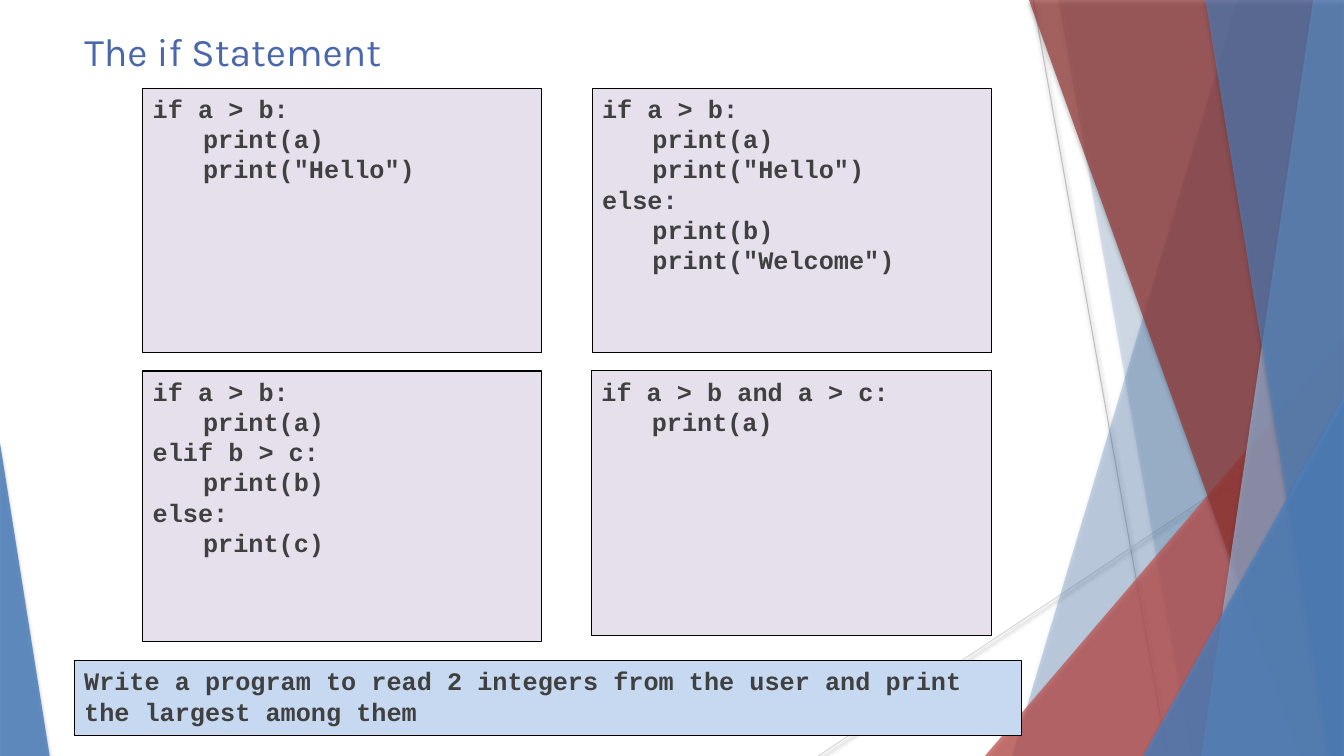
from collections import namedtuple
from lxml.etree import SubElement
from pptx import Presentation
from pptx.dml.color import RGBColor
from pptx.enum.shapes import MSO_CONNECTOR, MSO_SHAPE
from pptx.enum.text import MSO_ANCHOR, PP_ALIGN
from pptx.oxml.ns import qn
from pptx.util import Pt

Box = namedtuple("Box", "left top width height")

COLORS = {
    "title": "4A66AC",
    "code": "404040",
    "panel": "E6E0EC",
    "task": "C6D9F1",
    "border": "000000",
    "blue": "4F81BD",
    "pale_blue": "95B3D7",
    "red": "C0504D",
    "dark_red": "953735",
    "ray": "BFBFBF",
    "pale_ray": "D9D9D9",
}

SNIPPETS = [
    (Box(102, 63, 285, 189), ["if a > b:", "\tprint(a)", '\tprint("Hello")']),
    (Box(423, 63, 285, 189), ["if a > b:", "\tprint(a)", '\tprint("Hello")',
                              "else:", "\tprint(b)", '\tprint("Welcome")']),
    (Box(102, 265, 285, 193), ["if a > b:", "\tprint(a)", "elif b > c:",
                               "\tprint(b)", "else:", "\tprint(c)"]),
    (Box(422.5, 265, 285.5, 189), ["if a > b and a > c:", "\tprint(a)"]),
]
TASK = "Write a program to read 2 integers from the user and print the largest among them"


def rgb(name):
    return RGBColor.from_string(COLORS[name])


def add_shadow(parent, blur, distance, opacity):
    effects = SubElement(parent, qn("a:effectLst"))
    shadow = SubElement(effects, qn("a:outerShdw"), blurRad=str(Pt(blur)),
                        dist=str(Pt(distance)), dir="5400000", rotWithShape="0")
    black = SubElement(shadow, qn("a:srgbClr"), val="000000")
    SubElement(black, qn("a:alpha"), val=str(opacity * 1000))
    return effects


def write_text(frame, lines, size, font, color, bold=False,
               anchor=MSO_ANCHOR.TOP, shadow=False):
    frame.word_wrap = True
    frame.vertical_anchor = anchor
    frame.margin_left = frame.margin_right = Pt(7.2)
    frame.margin_top = frame.margin_bottom = Pt(3.6)
    for index, line in enumerate(lines):
        para = frame.add_paragraph() if index else frame.paragraphs[0]
        para.alignment = PP_ALIGN.LEFT
        span = para.add_run()
        span.text = line
        span.font.size = Pt(size)
        span.font.bold = bold
        span.font.color.rgb = rgb(color)
        if shadow:
            properties = span.font.fill._xPr
            add_shadow(properties, 3, 2, 35)
        span.font.name = font


def add_panel(page, box, lines, fill):
    panel = page.shapes.add_shape(MSO_SHAPE.RECTANGLE, *map(Pt, box))
    panel.shadow.inherit = False
    panel.fill.solid()
    panel.fill.fore_color.rgb = rgb(fill)
    panel.line.color.rgb = rgb("border")
    panel.line.width = Pt(0.75)
    write_text(panel.text_frame, lines, 18, "Courier New", "code", bold=True, shadow=True)


def add_title(page, box, text):
    title = page.shapes.title
    title.left, title.top, title.width, title.height = map(Pt, box)
    write_text(title.text_frame, [text], 28, "Karla", "title", anchor=MSO_ANCHOR.MIDDLE)


def tint(shape, color, opacity):
    shape.fill.solid()
    shape.fill.fore_color.rgb = rgb(color)
    SubElement(shape.fill._xPr.find(".//" + qn("a:srgbClr")),
               qn("a:alpha"), val=str(opacity * 1000))
    shape.line.fill.background()
    add_shadow(shape._element.spPr, 3, 2, 35)


def add_ray(page, box, start, end, color):
    points = [Pt(offset + value) for point in (start, end)
              for offset, value in zip((box.left, box.top), point)]
    ray = page.shapes.add_connector(MSO_CONNECTOR.STRAIGHT, *points)
    ray.line.color.rgb = rgb(color)
    ray.line.width = Pt(0.75)
    add_shadow(ray._element.spPr, 3.1, 1.6, 38)


def add_band(page, box, top_x, bottom_x, color, opacity):
    right, bottom = box.left + box.width, box.top + box.height
    builder = page.shapes.build_freeform(Pt(box.left + top_x), Pt(box.top))
    builder.add_line_segments([(Pt(right), Pt(box.top)), (Pt(right), Pt(bottom)),
                               (Pt(box.left + bottom_x), Pt(bottom))])
    tint(builder.convert_to_shape(), color, opacity)


def add_wedge(page, box, width, height, apex, color, opacity):
    left = box.left + apex * (box.width - width)
    top = box.top + box.height - height
    wedge = page.shapes.add_shape(MSO_SHAPE.ISOSCELES_TRIANGLE,
                                  Pt(left), Pt(top), Pt(width), Pt(height))
    wedge.adjustments[0] = apex
    tint(wedge, color, opacity)


def add_backdrop(page, box):
    add_ray(page, box, (738, 0), (834, 540), "ray")
    add_ray(page, box, (960, 290), (584.5, 540), "pale_ray")
    add_band(page, box, 884, 723, "blue", 30)
    add_band(page, box, 756, 851, "blue", 20)
    add_wedge(page, box, 256.5, 300, 1, "red", 72)
    add_band(page, box, 735, 929.5, "dark_red", 70)
    add_band(page, box, 938, 858, "pale_blue", 70)
    add_band(page, box, 861, 949, "blue", 65)
    add_wedge(page, box, 143.5, 257, 1, "blue", 80)
    add_wedge(page, box, 35.5, 224, 0, "blue", 85)


def build_slide(deck, box):
    page = deck.slides.add_slide(deck.slide_layouts[5])
    add_backdrop(page, box)
    title = page.shapes.title._element
    page.shapes._spTree.append(title)
    add_title(page, Box(box.left + 53, box.top + 13.5, 677, 46), "The if Statement")
    for place, lines in SNIPPETS:
        add_panel(page, place._replace(left=box.left + place.left,
                                       top=box.top + place.top), lines, "panel")
    add_panel(page, Box(box.left + 53, box.top + 472, 677, 53.5), [TASK], "task")


deck = Presentation()
deck.slide_width, deck.slide_height = Pt(960), Pt(540)
build_slide(deck, Box(0, 0, 960, 540))
deck.save("out.pptx")
